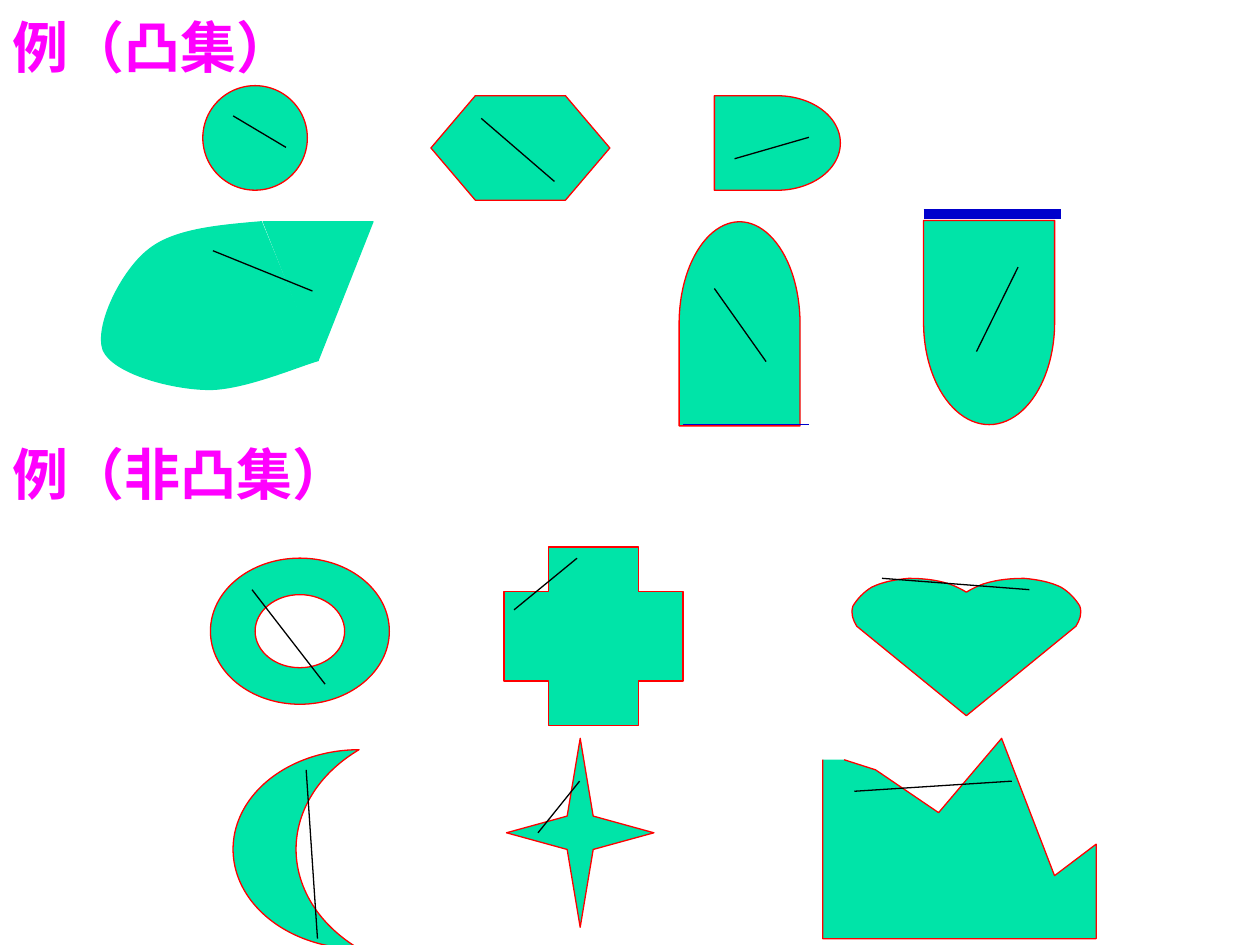
import pptx
import pptx.dml.color
import pptx.enum.shapes
import pptx.enum.text
import pptx.oxml.ns
import pptx.util
from lxml import etree

Inches = pptx.util.Inches
Pt = pptx.util.Pt
RGBColor = pptx.dml.color.RGBColor
MSO = pptx.enum.shapes.MSO_SHAPE
qn = pptx.oxml.ns.qn

GREEN = RGBColor(0x00, 0xE4, 0xA8)
RED = RGBColor(0xFF, 0x00, 0x00)
BLUE = RGBColor(0x00, 0x00, 0xCC)
BLACK = RGBColor(0x00, 0x00, 0x00)
MAGENTA = RGBColor(0xFF, 0x00, 0xFF)
ARC = 0.5523  # control arm of a quarter ellipse, as a share of its radius


def paint(sp, line):
    """Give a shape the common fill and a thin outline."""
    sp.shadow.inherit = False
    sp.fill.solid()
    sp.fill.fore_color.rgb = GREEN
    sp.line.color.rgb = line
    sp.line.width = Pt(0.75)


def add_heading(slide, left, top, width, text):
    """Add a section heading."""
    sp = slide.shapes.add_textbox(Inches(left), Inches(top), Inches(width), Inches(0.63))
    tf = sp.text_frame
    tf.word_wrap = True
    tf.auto_size = pptx.enum.text.MSO_AUTO_SIZE.SHAPE_TO_FIT_TEXT
    r = tf.paragraphs[0].add_run()
    r.text = text
    r.font.name = "Times New Roman"
    r.font.size = Pt(32)
    r.font.bold = True
    r.font.color.rgb = MAGENTA


def add_preset(slide, left, top, kind, box, adj=None, rotation=0, line=RED):
    """Add a preset shape; box is relative to the region."""
    x, y, w, h = box
    sp = slide.shapes.add_shape(kind, Inches(left + x), Inches(top + y), Inches(w), Inches(h))
    if adj is not None:
        sp.adjustments[0] = adj
    sp.rotation = rotation
    paint(sp, line)


def add_line(slide, left, top, ends, color=BLACK, width=0.75):
    """Add a straight line; ends are relative to the region."""
    x1, y1, x2, y2 = ends
    cx = slide.shapes.add_connector(
        pptx.enum.shapes.MSO_CONNECTOR.STRAIGHT,
        Inches(left + x1), Inches(top + y1), Inches(left + x2), Inches(top + y2))
    cx.line.color.rgb = color
    cx.line.width = Pt(width)
    etree.SubElement(cx._element.spPr, qn("a:effectLst"))


def add_outline(slide, left, top, contours, closed=True, line=RED):
    """Add a freeform; a segment is one point (line) or three (Bezier curve)."""
    def place(pt):
        return Inches(left + pt[0]), Inches(top + pt[1])

    fb = None
    for start, segments in contours:
        if fb is None:
            fb = slide.shapes.build_freeform(*place(start))
        else:
            fb.move_to(*place(start))
        fb.add_line_segments([place(pt) for seg in segments for pt in seg], close=closed)
    sp = fb.convert_to_shape()
    steps = [len(seg) for _, segments in contours for seg in segments + [()] * closed]
    nodes = iter(list(sp._element.iter(qn("a:lnTo"), qn("a:close"))))
    for count in steps:
        group = [next(nodes) for _ in range(max(count, 1))]
        # the closing step may be preceded by a line back to the start
        if count == 0 and group[0].tag == qn("a:lnTo"):
            next(nodes)
        if count == 3:
            curve = etree.Element(qn("a:cubicBezTo"))
            group[0].addprevious(curve)
            for node in group:
                curve.append(node[0])
                node.getparent().remove(node)
    paint(sp, line)


def ellipse_contour(cx, cy, rx, ry):
    """Return an ellipse as four Bezier quarters."""
    segments = []
    for ux, uy, vx, vy in ((-1, 0, 0, -1), (0, -1, 1, 0), (1, 0, 0, 1), (0, 1, -1, 0)):
        unit = ((ux + ARC * vx, uy + ARC * vy), (vx + ARC * ux, vy + ARC * uy), (vx, vy))
        segments.append([(cx + rx * a, cy + ry * b) for a, b in unit])
    return (cx - rx, cy), segments


def mirrored_contour(start, half):
    """Complete a half contour by reflecting it in the vertical through start."""
    starts = [start] + [seg[-1] for seg in half[:-1]]
    other = []
    for begin, seg in reversed(list(zip(starts, half))):
        back = list(reversed(seg[:-1])) + [begin]
        other.append([(2 * start[0] - x, y) for x, y in back])
    return start, half + other


def add_convex_region(slide, left, top):
    """Draw the convex sets, each with a chord lying inside."""
    add_heading(slide, left, top, 3.08, "例（凸集）")
    for kind, box, adj, rotation in (
            (MSO.OVAL, (1.61, 0.63, 0.83, 0.83), None, 0),
            (MSO.HEXAGON, (3.42, 0.71, 1.42, 0.83), 0.425, 0),
            (MSO.FLOWCHART_DELAY, (5.67, 0.71, 1, 0.75), None, 0),
            (MSO.FLOWCHART_DELAY, (5.06, 2.04, 1.62, 0.96), None, 270),
            (MSO.FLOWCHART_DELAY, (7.04, 1.99, 1.62, 1.04), None, 90)):
        add_preset(slide, left, top, kind, box, adj, rotation)
    add_line(slide, left, top, (5.42, 3.32, 6.42, 3.32), BLUE)
    add_line(slide, left, top, (7.33, 1.65, 8.42, 1.65), BLUE, 6)
    blob = (2.08, 1.71), [
        [(1.73, 1.74), (1.37, 1.77), (1.17, 1.94)],
        [(0.96, 2.11), (0.75, 2.54), (0.82, 2.73)],
        [(0.90, 2.91), (1.34, 3.03), (1.62, 3.04)],
        [(1.90, 3.06), (2.38, 2.85), (2.53, 2.81)]]
    add_outline(slide, left, top, [blob], closed=False, line=GREEN)
    add_preset(slide, left, top, MSO.FLOWCHART_MERGE, (2.09, 1.71, 0.87, 1.1), line=GREEN)
    for chord in ((1.85, 0.87, 2.27, 1.12), (3.82, 0.89, 4.4, 1.39),
                  (6.42, 1.04, 5.83, 1.21), (5.67, 2.24, 6.08, 2.82),
                  (8.08, 2.07, 7.75, 2.74), (1.69, 1.94, 2.48, 2.26)):
        add_line(slide, left, top, chord)


def add_nonconvex_region(slide, left, top):
    """Draw the non-convex sets, each with a chord leaving the set."""
    ring = [ellipse_contour(2.38, 1.57, rx, ry) for rx, ry in ((0.71, 0.58), (0.355, 0.29))]
    add_outline(slide, left, top, ring)
    heart = mirrored_contour((7.67, 1.26), [
        [(7.64, 1.24), (7.56, 1.20), (7.52, 1.19)],
        [(7.42, 1.16), (7.32, 1.15), (7.21, 1.15)],
        [(7.10, 1.16), (7.00, 1.18), (6.92, 1.22)],
        [(6.85, 1.26), (6.80, 1.32), (6.77, 1.37)],
        [(6.75, 1.43), (6.77, 1.48), (6.80, 1.53)],
        [(7.67, 2.24)]])
    add_outline(slide, left, top, [heart])
    ridge = (6.53, 2.59), [[pt] for pt in (
        (6.53, 4.01), (8.7, 4.01), (8.7, 3.26), (8.37, 3.51),
        (7.95, 2.42), (7.45, 3.01), (6.95, 2.67), (6.7, 2.59))]
    add_outline(slide, left, top, [ridge], closed=False)
    for kind, box, adj in (
            (MSO.CROSS, (4, 0.9, 1.42, 1.42), 0.25),
            (MSO.MOON, (1.85, 2.51, 1, 1.58), 0.5),
            (MSO.STAR_4_POINT, (4.02, 2.42, 1.17, 1.5), 0.125)):
        add_preset(slide, left, top, kind, box, adj)
    for chord in ((2, 1.24, 2.58, 1.99), (4.58, 0.99, 4.08, 1.4),
                  (7, 1.15, 8.17, 1.24), (2.43, 2.67, 2.52, 4.01),
                  (4.6, 2.76, 4.27, 3.17), (6.78, 2.84, 8.03, 2.76)):
        add_line(slide, left, top, chord)
    add_heading(slide, left, top, 3.5, "例（非凸集）")


prs = pptx.Presentation()
prs.slide_width = Inches(10)
prs.slide_height = Inches(7.5)
slide = prs.slides.add_slide(prs.slide_layouts[6])
add_convex_region(slide, 0, 0.05)
add_nonconvex_region(slide, 0, 3.44)
prs.save("out.pptx")
